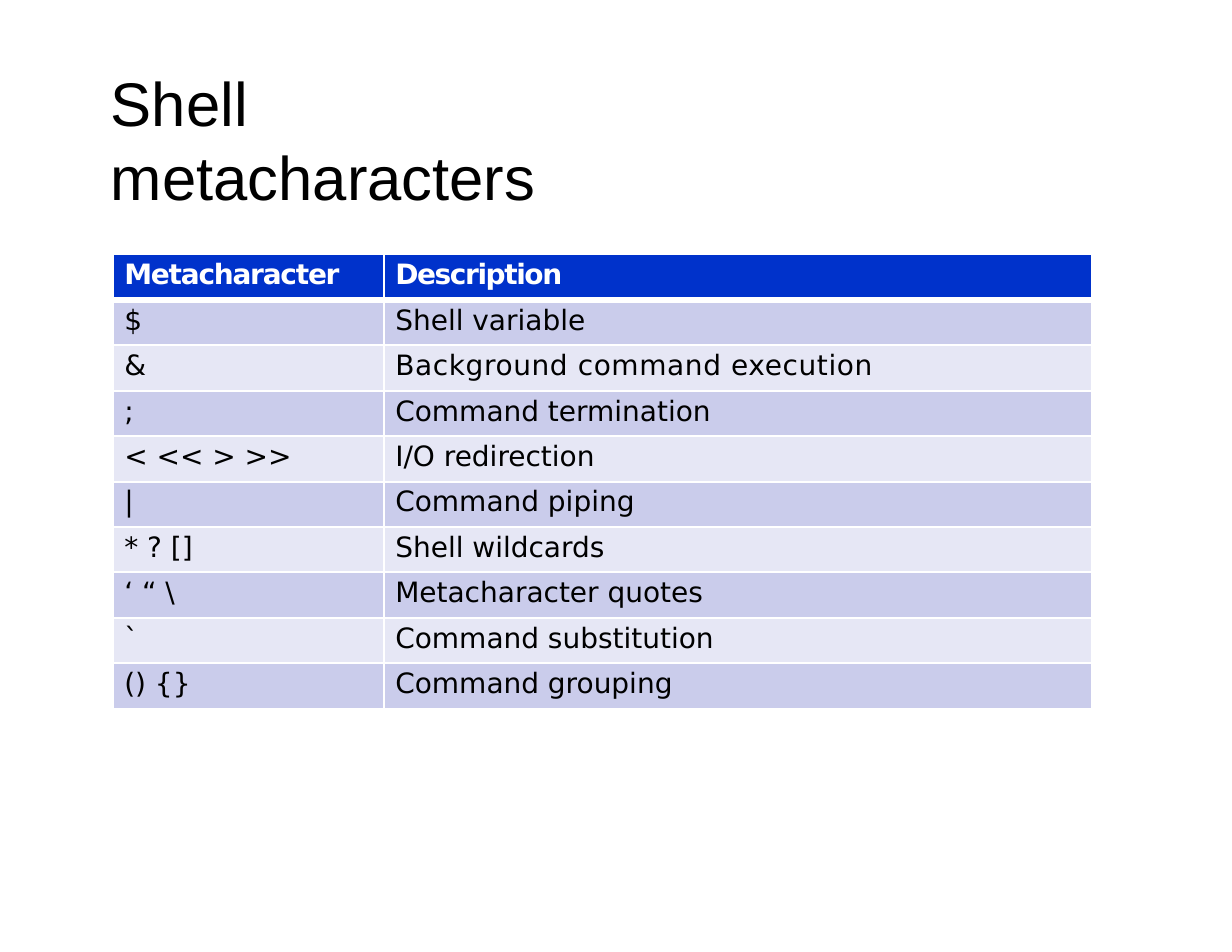
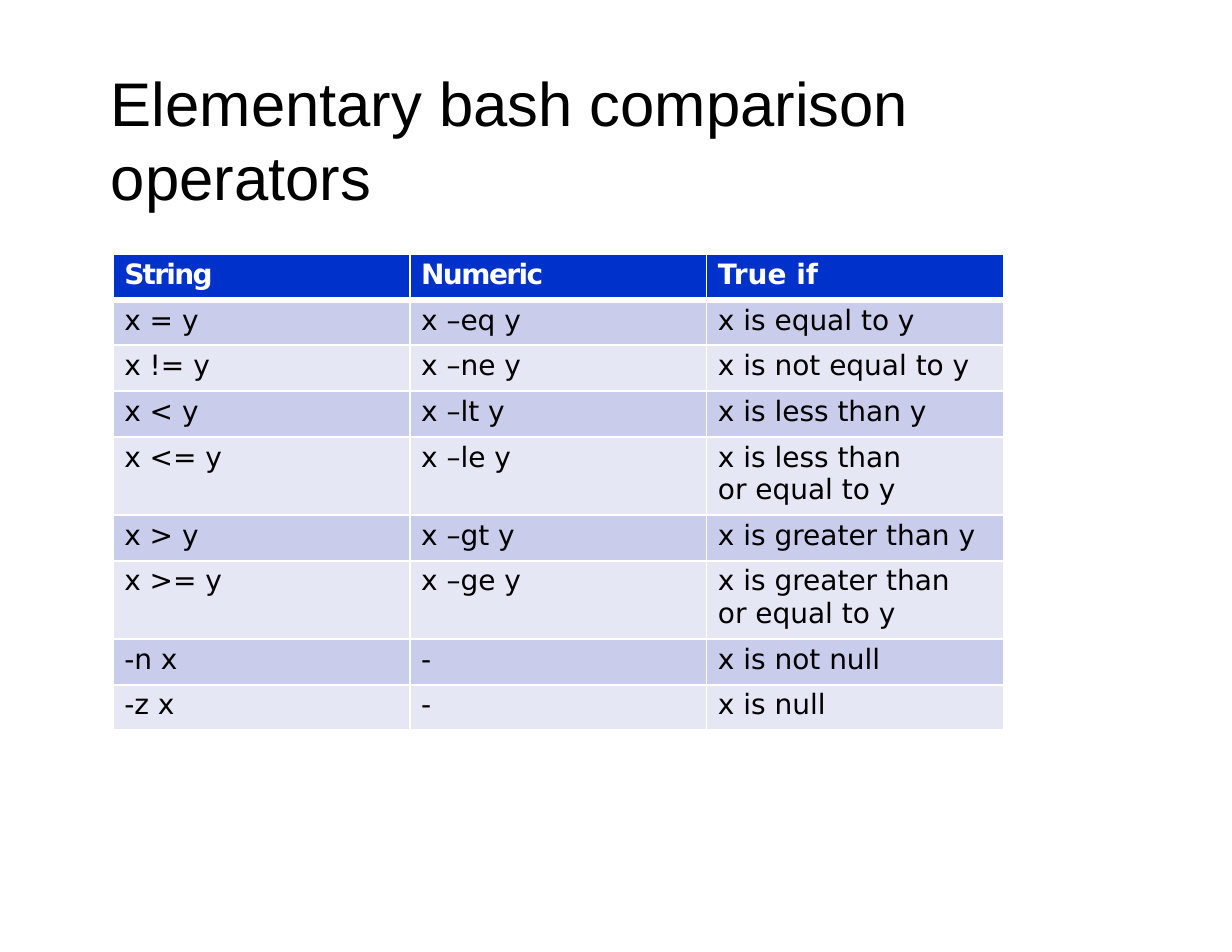
from dataclasses import dataclass

from lxml.etree import SubElement
from pptx import Presentation
from pptx.dml.color import RGBColor as RGB
from pptx.enum.text import MSO_ANCHOR as ANCHOR, MSO_AUTO_SIZE as AUTO
from pptx.oxml.ns import qn
from pptx.util import Inches, Pt


@dataclass(frozen=True)
class Theme:
    ink: str = "000000"
    white: str = "FFFFFF"
    header: str = "0032CB"
    bands: tuple = ("CACCEB", "E6E7F5")
    title_font: str = "Arial"
    body_font: str = "DejaVu Sans"
    title_size: float = 39.6
    body_size: float = 18
    rule: float = 1.5
    header_rule: float = 4.25


class Deck:
    """Slides with a large title above a banded table."""

    def __init__(self, theme):
        self.theme = theme
        self.prs = Presentation()
        self.prs.slide_width, self.prs.slide_height = Inches(11), Inches(8.5)

    def slide(self):
        self.s = self.prs.slides.add_slide(self.prs.slide_layouts[6])

    def style(self, p, font, size, color, bold=False):
        p.font.name, p.font.size, p.font.bold = font, Pt(size), bold
        p.font.color.rgb = RGB.from_string(color)

    def title(self, text, width):
        t = self.theme
        sp = self.s.shapes.add_textbox(Inches(0.99), Inches(0.92), Inches(width), Inches(0.63))
        tf = sp.text_frame
        tf.word_wrap = True
        tf.auto_size = AUTO.SHAPE_TO_FIT_TEXT
        tf.vertical_anchor = ANCHOR.MIDDLE
        tf.margin_left = tf.margin_right = tf.margin_bottom = 0
        tf.margin_top = Inches(0.01)
        p = tf.paragraphs[0]
        p.text = text
        self.style(p, t.title_font, t.title_size, t.ink)

    def borders(self, cell, **widths):
        tc_pr = cell._tc.get_or_add_tcPr()
        for side, width in widths.items():
            ln = SubElement(tc_pr, qn(f"a:ln{side}"), w=str(Pt(width)))
            fill = SubElement(ln, qn("a:solidFill"))
            SubElement(fill, qn("a:srgbClr"), val=self.theme.white)

    def cell(self, cell, content, row, column_rule):
        t = self.theme
        text, spacing = content if isinstance(content, tuple) else (content, 0)
        header = row == 0
        cell.margin_left, cell.margin_top = Inches(0.1), Inches(0.04)
        cell.margin_right = cell.margin_bottom = 0
        self.borders(cell, L=column_rule, R=column_rule,
                     T=t.header_rule if row == 1 else t.rule,
                     B=t.header_rule if header else t.rule)
        cell.fill.solid()
        cell.fill.fore_color.rgb = RGB.from_string(t.header if header else t.bands[(row - 1) % 2])
        p = cell.text_frame.paragraphs[0]
        p.text = text
        self.style(p, t.body_font, t.body_size, t.white if header else t.ink, header)
        if spacing:
            for r in p.runs:
                r._r.get_or_add_rPr().set("spc", str(round(spacing * 100)))

    def table(self, rows, widths, height, column_rule, tall_height=0.7):
        tall = [any("\v" in c for c in row) for row in rows]
        row_height = (height - tall_height * sum(tall)) / tall.count(False)
        tb = self.s.shapes.add_table(len(rows), len(widths), Inches(1.01), Inches(2.27),
                                     Inches(sum(widths)), Inches(height)).table
        tb.horz_banding = False
        for column, width in zip(tb.columns, widths):
            column.width = Inches(width)
        for i, row in enumerate(rows):
            tb.rows[i].height = Inches(tall_height if tall[i] else row_height)
            for j, content in enumerate(row):
                self.cell(tb.cell(i, j), content, i, column_rule)


METACHARACTERS = [
    [("Metacharacter", -0.8), ("Description", -0.9)],
    ["$", "Shell variable"],
    ["&", ("Background command execution", 0.4)],
    [";", "Command termination"],
    ["< << > >>", "I/O redirection"],
    ["|", "Command piping"],
    ["* ? []", "Shell wildcards"],
    ["‘ “ \\", "Metacharacter quotes"],
    ["`", "Command substitution"],
    ["() {}", "Command grouping"],
]

COMPARISONS = [
    [("String", -1.1), ("Numeric", -1), "True if"],
    ["x = y", "x –eq y", "x is equal to y"],
    ["x != y", "x –ne y", "x is not equal to y"],
    ["x < y", "x –lt y", "x is less than y"],
    ["x <= y", "x –le y", "x is less than\vor equal to y"],
    ["x > y", "x –gt y", "x is greater than y"],
    ["x >= y", "x –ge y", "x is greater than\vor equal to y"],
    ["-n x", "-", "x is not null"],
    ["-z x", "-", "x is null"],
]


def main():
    deck = Deck(Theme())
    deck.slide()
    deck.title("Shell metacharacters", 4.18)
    deck.table(METACHARACTERS, [2.42, 6.32], 4.06, column_rule=1.5)
    deck.slide()
    deck.title("Elementary bash comparison operators", 7.82)
    deck.table(COMPARISONS, [2.65] * 3, 4.25, column_rule=1)
    deck.prs.save("out.pptx")


if __name__ == "__main__":
    main()
